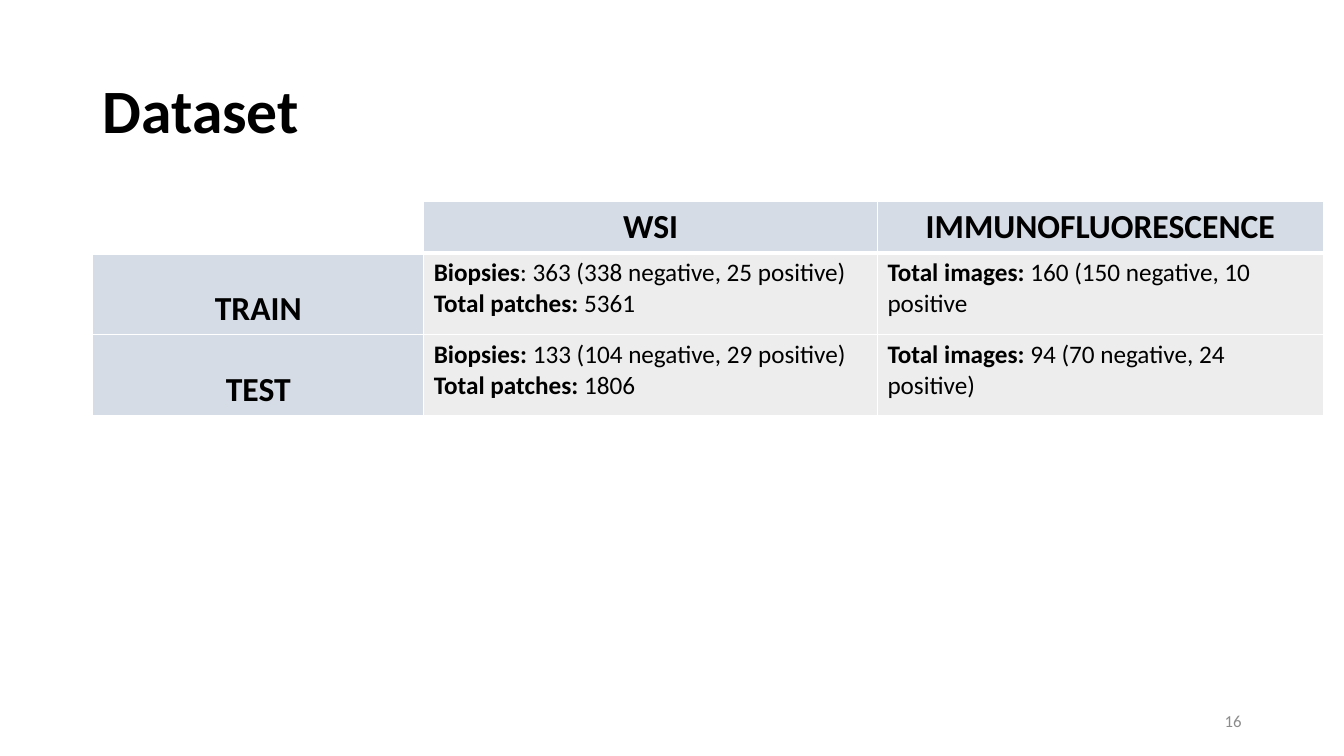
import pptx
import pptx.dml.color
import pptx.enum.text
import pptx.oxml
import pptx.oxml.ns
import pptx.util

Pt = pptx.util.Pt
ALIGN = pptx.enum.text.PP_ALIGN
ANCHOR = pptx.enum.text.MSO_ANCHOR

COLORS = {
    "text": "000000",
    "page_number": "8C8C8C",
    "blank": "FFFFFF",
    "heading": "D6DCE5",
    "body": "EDEDED",
    "border": "FFFFFF",
}


def rgb(name):
    return pptx.dml.color.RGBColor.from_string(COLORS[name])


class DatasetSlide:
    font = "Calibri"

    def __init__(self, presentation):
        self.slide = presentation.slides.add_slide(presentation.slide_layouts[6])

    def add_lines(self, frame, lines, size, align=ALIGN.LEFT, color="text", spacing=None):
        """Fill a frame with lines, each a list of (text, bold) runs."""
        frame.word_wrap = True
        for index, line in enumerate(lines):
            paragraph = frame.add_paragraph() if index else frame.paragraphs[0]
            paragraph.alignment = align
            if spacing:
                paragraph.line_spacing = spacing
            for text, bold in line:
                run = paragraph.add_run()
                run.text = text
                run.font.name = self.font
                run.font.size = Pt(size)
                run.font.bold = bold
                run.font.color.rgb = rgb(color)

    def text(self, left, top, width, height, lines, size, **style):
        box = self.slide.shapes.add_textbox(Pt(left), Pt(top), Pt(width), Pt(height))
        box.text_frame.vertical_anchor = ANCHOR.MIDDLE
        self.add_lines(box.text_frame, lines, size, **style)

    def borders(self, cell, **widths):
        properties = cell._tc.get_or_add_tcPr()
        for side in "LRTB":
            width = Pt(widths.get(side, 1))
            properties.append(pptx.oxml.parse_xml(
                f'<a:ln{side} {pptx.oxml.ns.nsdecls("a")} w="{width}"><a:solidFill>'
                f'<a:srgbClr val="{COLORS["border"]}"/></a:solidFill></a:ln{side}>'))

    def table(self, left, top, widths, heights, rows):
        """Draw a table whose first row and first column are headings."""
        table = self.slide.shapes.add_table(
            len(heights), len(widths), Pt(left), Pt(top),
            Pt(sum(widths)), Pt(sum(heights))).table
        for column, width in zip(table.columns, widths):
            column.width = Pt(width)
        for row, height in zip(table.rows, heights):
            row.height = Pt(height)
        for r, row in enumerate(rows):
            for c, content in enumerate(row):
                cell = table.cell(r, c)
                self.borders(cell, **{0: {"B": 3}, 1: {"T": 3}}.get(r, {}))
                cell.fill.solid()
                if not content:
                    cell.fill.fore_color.rgb = rgb("blank")
                elif r == 0 or c == 0:
                    cell.fill.fore_color.rgb = rgb("heading")
                    cell.vertical_anchor = ANCHOR.BOTTOM if r else ANCHOR.TOP
                    self.add_lines(cell.text_frame, [[(content, True)]], 24, ALIGN.CENTER)
                else:
                    cell.fill.fore_color.rgb = rgb("body")
                    lines = [[(label, True), (value, False)] for label, value in content]
                    self.add_lines(cell.text_frame, lines, 18)


def main():
    presentation = pptx.Presentation()
    presentation.slide_width = Pt(960)
    presentation.slide_height = Pt(540)
    dataset = DatasetSlide(presentation)

    dataset.text(66.24, 28.8, 828, 104.4, [[("Dataset", True)]], 44, spacing=0.9)
    dataset.table(66.24, 144, [236.5, 324, 318.5], [36.5, 58.3, 58.3], [
        [None, "WSI", "IMMUNOFLUORESCENCE"],
        ["TRAIN",
         [("Biopsies", ": 363 (338 negative, 25 positive)"), ("Total patches: ", "5361")],
         [("Total images: ", "160 (150 negative, 10 positive")]],
        ["TEST",
         [("Biopsies:", " 133 (104 negative, 29 positive)"), ("Total patches: ", "1806")],
         [("Total images: ", "94 (70 negative, 24 positive)")]],
    ])
    dataset.text(678, 500.5, 216, 28.8, [[("16", False)]], 12,
                 align=ALIGN.RIGHT, color="page_number")
    presentation.save("out.pptx")


if __name__ == "__main__":
    main()
